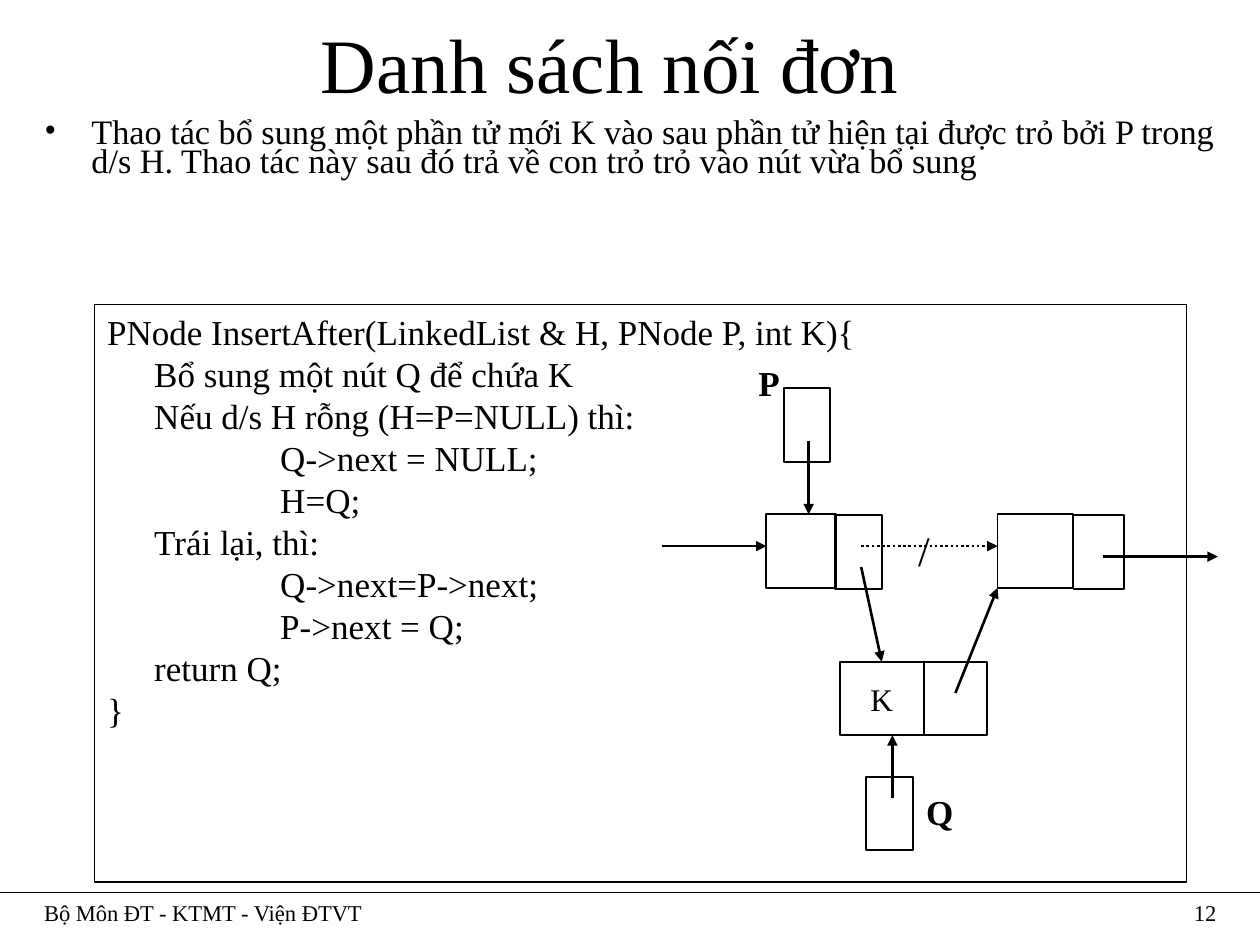
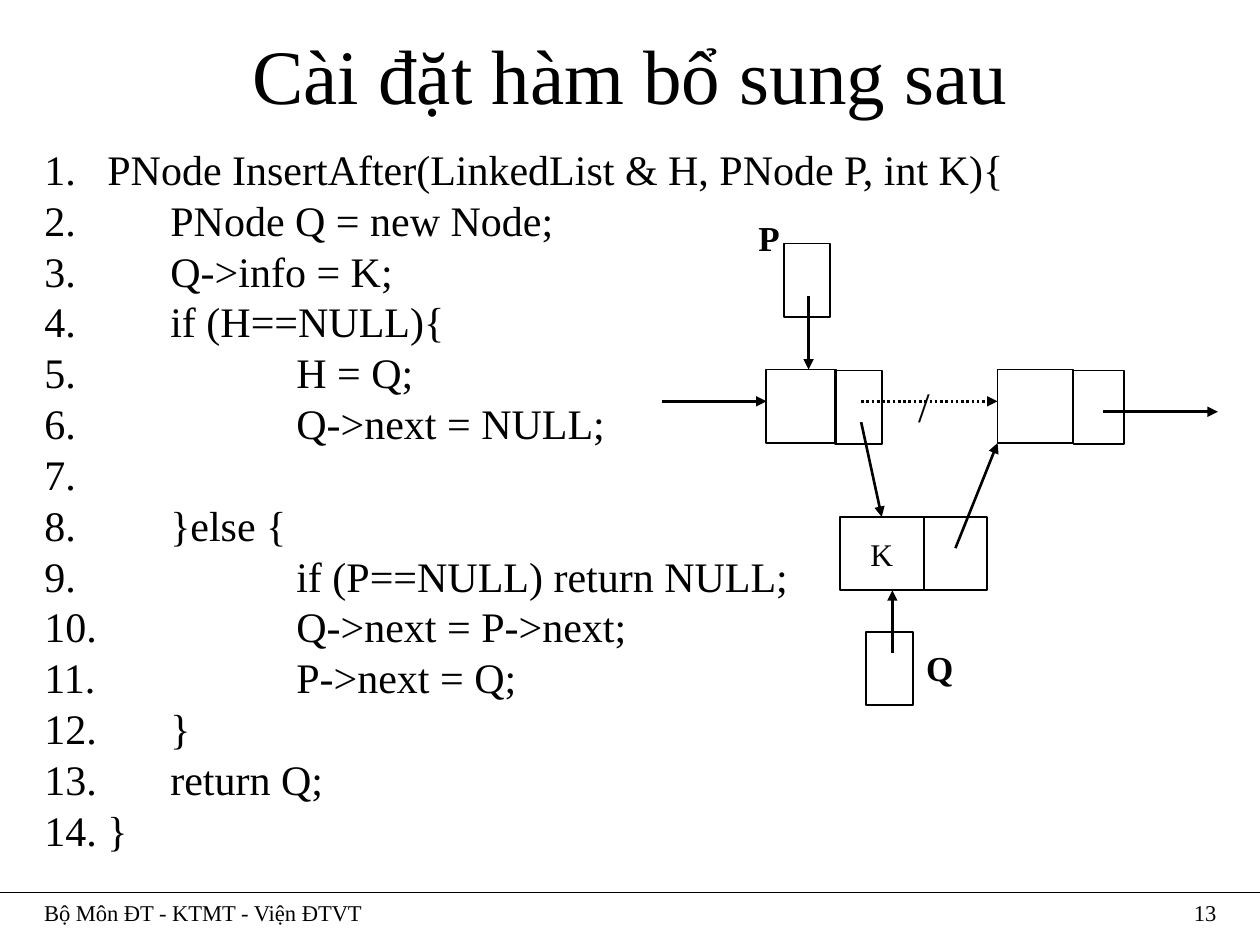
"""Build two slides on inserting a node after P in a singly linked list."""
from lxml.etree import SubElement
from pptx import Presentation
from pptx.dml.color import RGBColor
from pptx.enum.dml import MSO_LINE
from pptx.enum.shapes import MSO_CONNECTOR, MSO_SHAPE
from pptx.enum.text import MSO_ANCHOR, MSO_AUTO_SIZE, PP_ALIGN
from pptx.oxml.ns import qn
from pptx.util import Cm, Pt

HUES = {"ink": "000000", "paper": "FFFFFF"}
INK = RGBColor.from_string(HUES["ink"])
FONT = "Times New Roman"


def write(box, lines, size, align=PP_ALIGN.LEFT, bold=False, steps=(0,),
          hang=False, mark=None, space=1.0, gap=0, mid=False, wrap=True):
    frame = box.text_frame
    frame.word_wrap = wrap
    frame.auto_size = MSO_AUTO_SIZE.NONE
    frame.vertical_anchor = MSO_ANCHOR.MIDDLE if mid else MSO_ANCHOR.TOP
    for i, (level, text) in enumerate(lines):
        para = frame.paragraphs[0] if i == 0 else frame.add_paragraph()
        para.text = text
        props = para._p.get_or_add_pPr()
        left = Cm(steps[level])
        props.set("marL", str(left))
        props.set("indent", str(-left if hang else 0))
        if mark:
            SubElement(props, qn("a:buFont"), typeface=FONT)
            kind, key, value = mark
            SubElement(props, qn(kind)).set(key, value)
        para.alignment = align
        para.line_spacing = space
        para.space_before = Pt(gap)
        para.font.name = FONT
        para.font.size = Pt(size)
        para.font.bold = bold
        para.font.color.rgb = INK


def link(shapes, x1, y1, x2, y2, width=1.5, head=True):
    line = shapes.add_connector(MSO_CONNECTOR.STRAIGHT, Cm(x1), Cm(y1), Cm(x2), Cm(y2))
    line.line.color.rgb = INK
    line.line.width = Pt(width)
    if head:
        SubElement(line.line._get_or_add_ln(), qn("a:tailEnd"), type="triangle")
    SubElement(line._element.spPr, qn("a:effectLst"))
    return line


PSEUDO = [
    (0, "PNode InsertAfter(LinkedList & H, PNode P, int K){"),
    (1, "Bổ sung một nút Q để chứa K"),
    (1, "Nếu d/s H rỗng (H=P=NULL) thì:"),
    (2, "Q->next = NULL;"),
    (2, "H=Q;"),
    (1, "Trái lại, thì:"),
    (2, "Q->next=P->next;"),
    (2, "P->next = Q;"),
    (1, "return Q;"),
    (0, "}"),
]
CODE = [
    (0, "PNode InsertAfter(LinkedList & H, PNode P, int K){"),
    (1, "PNode Q = new Node;"),
    (1, "Q->info = K;"),
    (1, "if (H==NULL){"),
    (2, "H = Q;"),
    (2, "Q->next = NULL;"),
    (2, "\t"),
    (1, "}else {"),
    (2, "if (P==NULL) return NULL;"),
    (2, "Q->next = P->next;"),
    (2, "P->next = Q;"),
    (1, "}"),
    (1, "return Q;"),
    (0, "}"),
]
TASK = [(0, "Thao tác bổ sung một phần tử mới K vào sau phần tử hiện tại được trỏ bởi P "
            "trong d/s H. Thao tác này sau đó trả về con trỏ trỏ vào nút vừa bổ sung")]

PAGES = [
    dict(title="Danh sách nối đơn", head=(0.23, 0.21, 24.13, 2.12),
         body=(0.64, 2.33, 24.13, 1.9), lines=TASK, lift=0,
         style=dict(size=19.6, steps=(0.95,), space=0.7, mark=("a:buChar", "char", "•"))),
    dict(title="Cài đặt hàm bổ sung sau", head=(0.64, 0.21, 24.13, 2.54),
         body=(0.64, 2.96, 24.13, 14.6), lines=CODE, lift=2.92,
         style=dict(size=24, steps=(1.27, 2.54, 5.08), space=0.8, gap=6,
                    mark=("a:buAutoNum", "type", "arabicPeriod"))),
]
TALL = 1.48
CELLS = [
    (15.45, 10.37, 1.4), (16.84, 10.39, 0.94),
    (20.11, 10.37, 1.52), (21.64, 10.39, 1.02),
    (18.63, 13.34, 1.27), (15.8, 7.83, 0.94), (17.46, 15.66, 0.94),
]
ARROWS = [
    (13.34, 11.01, 15.45, 11.01), (22.23, 11.22, 24.55, 11.22),
    (16.3, 8.89, 16.3, 10.37), (17.99, 16.09, 17.99, 14.82),
    (19.26, 13.97, 20.11, 11.85),
]
LABELS = [
    ("P", 15.04, 7.16, 0.94, dict(size=20, bold=True)),
    ("Q", 18.42, 15.82, 1.04, dict(size=20, bold=True)),
    ("/", 18.2, 10.54, 0.85, dict(size=24, align=PP_ALIGN.CENTER, mid=True)),
]

deck = Presentation()
deck.slide_width, deck.slide_height = Cm(25.4), Cm(19.05)

for number, page in enumerate(PAGES, 12):
    slide = deck.slides.add_slide(deck.slide_layouts[1])
    slide.background.fill.solid()
    slide.background.fill.fore_color.rgb = RGBColor.from_string(HUES["paper"])
    title, body = slide.placeholders
    for holder, spot in ((title, page["head"]), (body, page["body"])):
        holder.left, holder.top, holder.width, holder.height = map(Cm, spot)
    write(title, [(0, page["title"])], 44, PP_ALIGN.CENTER, mid=True)
    write(body, page["lines"], hang=True, **page["style"])

    link(slide.shapes, 0, 17.99, 25.4, 17.99, 0.75, False)
    for text, x, wide, align in (("Bộ Môn ĐT - KTMT - Viện ĐTVT", 0.64, 21.59, PP_ALIGN.LEFT),
                                 (str(number), 22.65, 2.12, PP_ALIGN.RIGHT)):
        foot = slide.shapes.add_textbox(Cm(x), Cm(17.99), Cm(wide), Cm(0.85))
        write(foot, [(0, text)], 12.9, align)

    if page["lines"] is TASK:
        frame = slide.shapes.add_shape(MSO_SHAPE.RECTANGLE, Cm(1.91), Cm(6.14), Cm(22.01), Cm(11.64))
        frame.shadow.inherit = False
        frame.fill.background()
        frame.line.color.rgb = INK
        frame.line.width = Pt(0.75)
        write(frame, PSEUDO, 20, steps=(0, 0.95, 3.49))

    lift = page["lift"]
    parts = slide.shapes.add_group_shape().shapes
    for x, y, wide in CELLS + [(16.93, 13.34, 1.69)]:
        cell = parts.add_shape(MSO_SHAPE.RECTANGLE, Cm(x), Cm(y - lift), Cm(wide), Cm(TALL))
        cell.shadow.inherit = False
        cell.fill.background()
        cell.line.color.rgb = INK
        cell.line.width = Pt(1)
    write(cell, [(0, "K")], 18, PP_ALIGN.CENTER, mid=True, wrap=False)

    for x1, y1, x2, y2 in ARROWS:
        link(parts, x1, y1 - lift, x2, y2 - lift)
    link(parts, 17.36, 11.43 - lift, 17.78, 13.34 - lift).end_connect(cell, 0)
    old = link(parts, 17.36, 11.01 - lift, 20.11, 11.01 - lift)
    old.line.dash_style = MSO_LINE.ROUND_DOT

    for text, x, y, wide, style in LABELS:
        label = parts.add_textbox(Cm(x), Cm(y - lift), Cm(wide), Cm(1.1))
        write(label, [(0, text)], wrap=False, **style)

deck.save("out.pptx")
